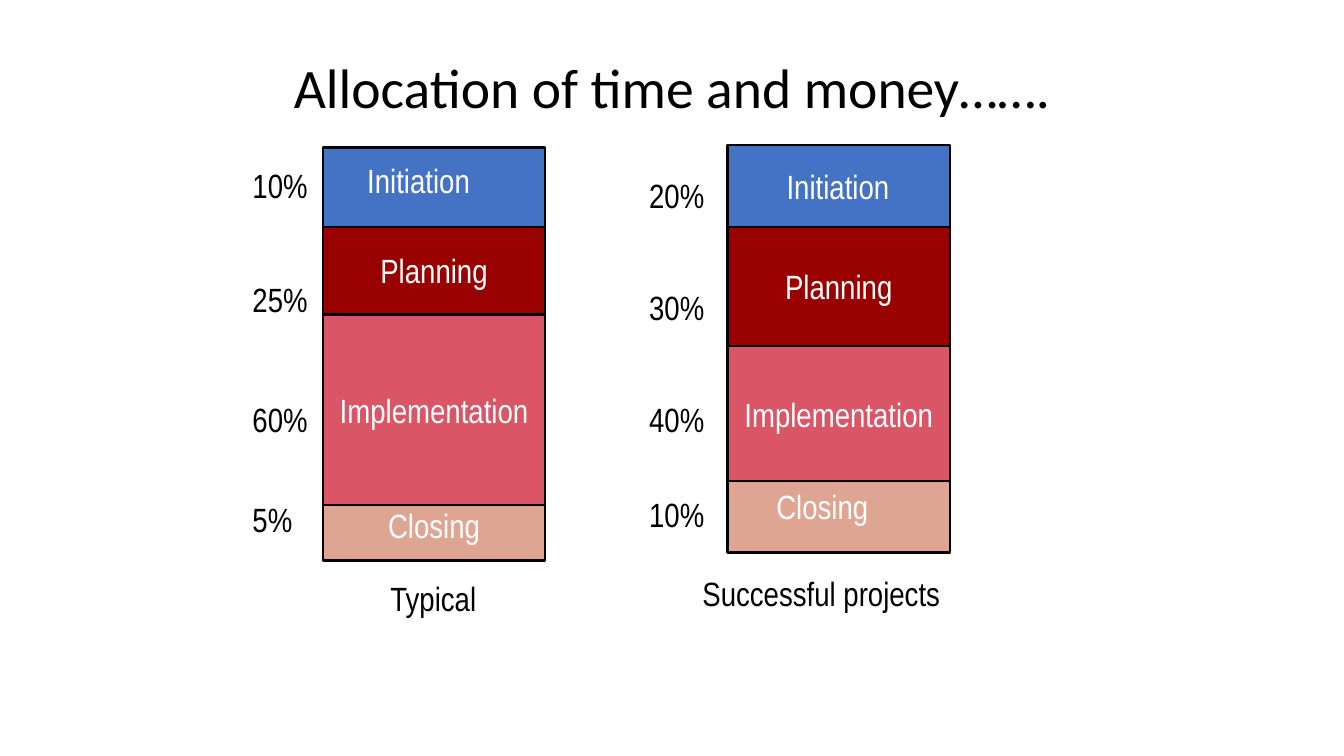
from dataclasses import dataclass

from pptx import Presentation
from pptx.dml.color import RGBColor
from pptx.enum.shapes import MSO_SHAPE as Preset
from pptx.enum.text import MSO_ANCHOR as Anchor, MSO_AUTO_SIZE as AutoSize, PP_ALIGN as Align
from pptx.util import Pt


@dataclass(frozen=True)
class Theme:
    black: str = "000000"
    white: str = "FFFFFF"
    initiation: str = "4472C4"
    planning: str = "990000"
    implementation: str = "DA5666"
    closing: str = "DFA593"
    title_font: str = "Calibri"
    label_font: str = "Arial Narrow"
    title_size: float = 45
    label_size: float = 27.2
    outline: float = 2


THEME = Theme()
LABEL_HEIGHT = 40.3

# Boxes are left, top, width, height; everything inside a stack is relative to its box.
# Phases run from back to front: name, top, height, whether the label sits centred.
TYPICAL = dict(
    box=(261.4, 119.5, 180, 321),
    phases=[("Initiation", 0, 321, False), ("Closing", 276.5, 57.6, True),
            ("Implementation", 135.4, 154.1, True), ("Planning", 64.1, 70.6, True)],
    labels=[("Initiation", 28.8, 6.5, 98.6)],
    share_left=-64.1,
    shares=[("10%", 10.8, 59.8), ("25%", 103, 59.8), ("60%", 199.5, 59.8), ("5%", 280.8, 46.8)],
    caption=("Typical", 47.5, 344.9, 85),
)
SUCCESSFUL = dict(
    box=(589, 117.4, 180, 321),
    phases=[("Initiation", 0, 321, False), ("Closing", 259.2, 70.6, False),
            ("Planning", 66.2, 96.5, True), ("Implementation", 162.7, 109.4, True)],
    labels=[("Initiation", 40.7, 13, 98.6), ("Closing", 32.4, 272.2, 89.3)],
    share_left=-70.6,
    shares=[("20%", 20.9, 59.8), ("30%", 111.6, 59.8), ("40%", 201.6, 59.8), ("10%", 278.6, 59.8)],
    caption=("Successful projects", -27.4, 342.7, 208),
)


def write(frame, text, color, align, font=THEME.label_font, size=THEME.label_size, **frame_format):
    for attribute, value in frame_format.items():
        setattr(frame, attribute, value)
    paragraph = frame.paragraphs[0]
    paragraph.alignment = align
    run = paragraph.add_run()
    run.text = text
    for attribute, value in dict(name=font, size=Pt(size), bold=False).items():
        setattr(run.font, attribute, value)
    run.font.color.rgb = RGBColor.from_string(color)
    return paragraph


def add_title(slide, box, text):
    title = slide.shapes.title
    for attribute, value in zip(("left", "top", "width", "height"), box):
        setattr(title, attribute, Pt(value))
    paragraph = write(title.text_frame, text, THEME.black, Align.CENTER,
                      THEME.title_font, THEME.title_size,
                      vertical_anchor=Anchor.MIDDLE, word_wrap=True, auto_size=AutoSize.NONE)
    paragraph.line_spacing = 0.9


def add_label(slide, left, top, width, text, color):
    label = slide.shapes.add_textbox(Pt(left), Pt(top), Pt(width), Pt(LABEL_HEIGHT))
    write(label.text_frame, text, color, Align.LEFT,
          word_wrap=False, auto_size=AutoSize.SHAPE_TO_FIT_TEXT)


def add_phase(slide, box, name, centred):
    phase = slide.shapes.add_shape(Preset.RECTANGLE, *map(Pt, box))
    phase.shadow.inherit = False
    phase.fill.solid()
    phase.fill.fore_color.rgb = RGBColor.from_string(getattr(THEME, name.lower()))
    phase.line.color.rgb = RGBColor.from_string(THEME.black)
    phase.line.width = Pt(THEME.outline)
    if centred:
        write(phase.text_frame, name, THEME.white, Align.CENTER,
              vertical_anchor=Anchor.MIDDLE, word_wrap=False)


def add_stack(slide, box, phases, labels, share_left, shares, caption):
    left, top, width, _ = box
    # Coloured phases; the first one backs the whole stack
    for name, offset, height, centred in phases:
        add_phase(slide, (left, top + offset, width, height), name, centred)
    # Phase names placed off centre
    for name, x, y, label_width in labels:
        add_label(slide, left + x, top + y, label_width, name, THEME.white)
    # Shares beside the stack and caption below it
    beside = [(share, share_left, y, share_width) for share, y, share_width in shares]
    for text, x, y, label_width in beside + [caption]:
        add_label(slide, left + x, top + y, label_width, text, THEME.black)


def main():
    deck = Presentation()
    deck.slide_width, deck.slide_height = Pt(1088), Pt(612)
    slide = deck.slides.add_slide(deck.slide_layouts[5])
    add_title(slide, (74.9, 14.4, 938.2, 118), "Allocation of time and money…….")
    for stack in (TYPICAL, SUCCESSFUL):
        add_stack(slide, **stack)
    deck.save("out.pptx")


if __name__ == "__main__":
    main()
